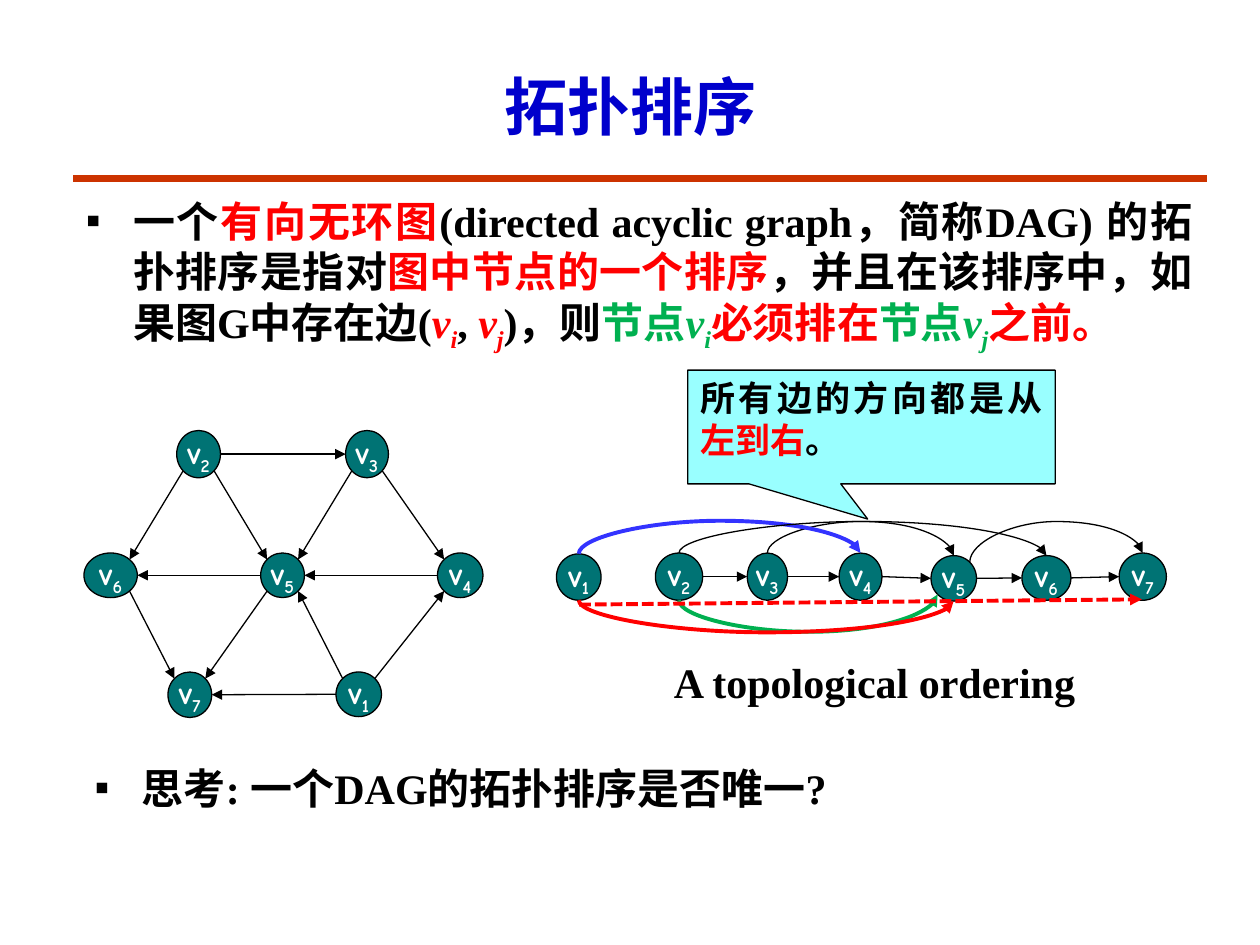
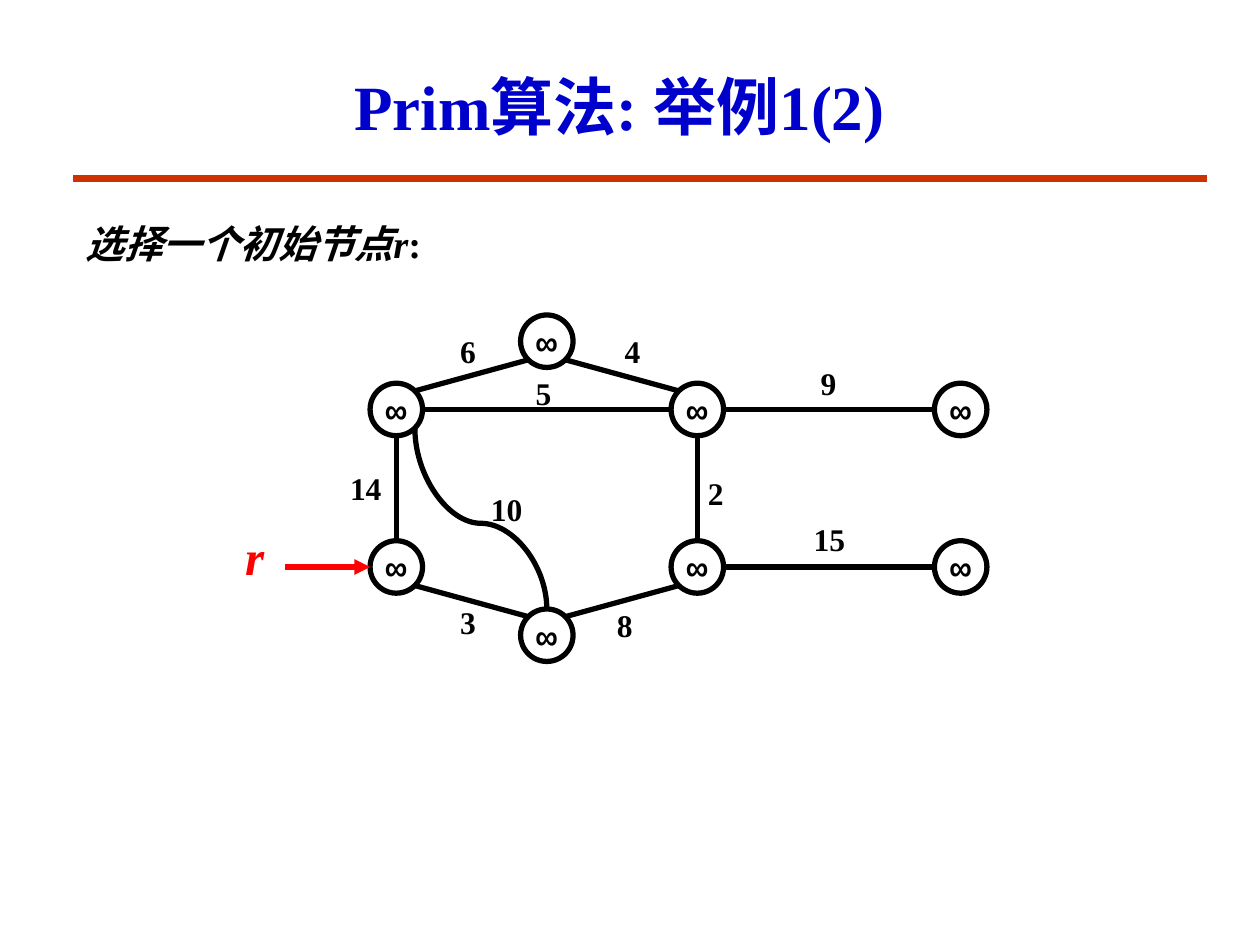
from dataclasses import dataclass
from math import sqrt

from lxml import etree
from pptx import Presentation
from pptx.dml.color import RGBColor
from pptx.enum.dml import MSO_LINE
from pptx.enum.shapes import MSO_CONNECTOR, MSO_SHAPE
from pptx.enum.text import MSO_ANCHOR, PP_ALIGN
from pptx.oxml.ns import qn
from pptx.util import Pt

STRAIGHT, CURVE = MSO_CONNECTOR.STRAIGHT, MSO_CONNECTOR.CURVE
ELLIPSE, CALLOUT = MSO_SHAPE.OVAL, MSO_SHAPE.RECTANGULAR_CALLOUT
SHORT_DASH = MSO_LINE.SQUARE_DOT
LEFT, CENTER, JUSTIFY = PP_ALIGN.LEFT, PP_ALIGN.CENTER, PP_ALIGN.JUSTIFY
TOP, MIDDLE = MSO_ANCHOR.TOP, MSO_ANCHOR.MIDDLE
TITLE_ONLY = 5


@dataclass(frozen=True)
class Theme:
    serif: str = "Times New Roman"
    casual: str = "Comic Neue"
    mono: str = "Courier New"
    title: str = "0000CC"
    rule: str = "CC3300"
    ink: str = "000000"
    white: str = "FFFFFF"
    red: str = "FF0000"
    green: str = "00B050"
    blue: str = "3333FF"
    node: str = "007374"
    callout: str = "99FFFF"
    title_size: float = 36
    root_size: float = 28
    body_size: float = 24
    lead_size: float = 22
    note_size: float = 20
    label_size: float = 18
    thin: float = 0.75
    medium: float = 2.25
    thick: float = 3
    rule_width: float = 4.5


THEME = Theme()

# Points on an ellipse, as shares of its half width and half height
DIAGONAL = 1 / sqrt(2)
SITES = {
    "N": (0, -1), "S": (0, 1), "W": (-1, 0), "E": (1, 0),
    "NW": (-DIAGONAL, -DIAGONAL), "NE": (DIAGONAL, -DIAGONAL),
    "SW": (-DIAGONAL, DIAGONAL), "SE": (DIAGONAL, DIAGONAL),
}


def rgb(color):
    return RGBColor.from_string(color)


# Text
def add_span(para, text, size, color=THEME.ink, italic=False, sub=False,
             face=THEME.serif):
    span = para.add_run()
    span.text = text
    font = span.font
    font.name, font.size, font.bold, font.italic = face, Pt(size), True, italic
    font.color.rgb = rgb(color)
    if sub:
        font._element.set("baseline", "-25000")


def add_bullet(para):
    properties = para._p.get_or_add_pPr()
    properties.set("marL", str(Pt(27)))
    properties.set("indent", str(Pt(-27)))
    etree.SubElement(properties, qn("a:buFont")).set("typeface", THEME.serif)
    etree.SubElement(properties, qn("a:buChar")).set("char", "▪")


def fill_frame(frame, spans, size, align=LEFT, anchor=TOP, wrap=True, bullet=False):
    """Each span is a text followed by the options of add_span."""
    frame.word_wrap = wrap
    frame.vertical_anchor = anchor
    para = frame.paragraphs[0]
    para.alignment = align
    if bullet:
        add_bullet(para)
    for text, options in spans:
        add_span(para, text, size, **options)


def add_text(page, area, spans, size, **layout):
    box = page.shapes.add_textbox(*map(Pt, area))
    fill_frame(box.text_frame, spans, size, **layout)


# Shapes
def add_outlined(page, preset, area, fill, width):
    shape = page.shapes.add_shape(preset, *map(Pt, area))
    shape.shadow.inherit = False
    if fill:
        shape.fill.solid()
        shape.fill.fore_color.rgb = rgb(fill)
    else:
        shape.fill.background()
    shape.line.color.rgb = rgb(THEME.ink)
    shape.line.width = Pt(width)
    return shape


def add_vertex(page, area, number):
    vertex = add_outlined(page, ELLIPSE, area, THEME.node, THEME.thin)
    look = {"color": THEME.white, "face": THEME.casual}
    spans = [("v", look), (number, {**look, "sub": True})]
    fill_frame(vertex.text_frame, spans, THEME.label_size, CENTER, MIDDLE, wrap=False)


def add_key_node(page, area):
    node = add_outlined(page, ELLIPSE, area, None, THEME.thick)
    fill_frame(node.text_frame, [("∞", {"face": THEME.mono})], THEME.note_size,
               CENTER, MIDDLE, wrap=False)


# Lines
def site(area, name):
    left, top, width, height = area
    across, down = SITES[name]
    return left + width / 2 * (1 + across), top + height / 2 * (1 + down)


def style_line(connector, color, width, arrow):
    connector.line.color.rgb = rgb(color)
    connector.line.width = Pt(width)
    if arrow:
        outline = connector.line._get_or_add_ln()
        etree.SubElement(outline, qn("a:tailEnd")).set("type", "triangle")
    etree.SubElement(connector._element.spPr, qn("a:effectLst"))


def add_line(page, start, end, color=THEME.ink, width=THEME.thin, arrow=True, dash=None):
    connector = page.shapes.add_connector(STRAIGHT, *map(Pt, (*start, *end)))
    if dash:
        connector.line.dash_style = dash
    style_line(connector, color, width, arrow)


def add_curve(page, start, end, turn, color=THEME.ink, width=THEME.thin, arrow=True):
    """Curve that leaves and arrives vertically and turns at the height turn."""
    (x1, y1), (x2, y2) = start, end
    rise, run = abs(y2 - y1), abs(x2 - x1)
    connector = page.shapes.add_connector(CURVE, 0, 0, 0, 0)
    connector.left = Pt((x1 + x2 - rise) / 2)
    connector.top = Pt((y1 + y2 - run) / 2)
    connector.width, connector.height = Pt(rise), Pt(run)
    rising = y2 < y1
    properties = connector._element.spPr
    frame = properties.find(qn("a:xfrm"))
    frame.set("rot", str((90 if rising else 270) * 60000))
    frame.set("flipH", "1")
    frame.set("flipV", "1" if (x2 > x1) == rising else "0")
    geometry = properties.find(qn("a:prstGeom"))
    guides = geometry.find(qn("a:avLst"))
    if guides is None:
        guides = etree.SubElement(geometry, qn("a:avLst"))
    guide = etree.SubElement(guides, qn("a:gd"))
    guide.set("name", "adj1")
    guide.set("fmla", f"val {round((turn - y1) / (y2 - y1) * 100000)}")
    style_line(connector, color, width, arrow)


def add_edges(page, nodes, edges, **look):
    """Each edge reads: from node, its site, to node, its site."""
    for source, leave, target, arrive in edges:
        add_line(page, site(nodes[source], leave), site(nodes[target], arrive), **look)


# Slide frame
def add_page(deck, title, title_area):
    page = deck.slides.add_slide(deck.slide_layouts[TITLE_ONLY])
    add_line(page, (42, 102), (690, 102), THEME.rule, THEME.rule_width, arrow=False)
    box = page.shapes.title
    box.left, box.top, box.width, box.height = map(Pt, title_area)
    fill_frame(box.text_frame, [(title, {"color": THEME.title})], THEME.title_size,
               CENTER, MIDDLE)
    return page


def build_topological_sort(deck):
    page = add_page(deck, "拓扑排序", (54, 24, 612, 72))
    size = THEME.body_size
    red, green = {"color": THEME.red}, {"color": THEME.green}

    # Definition
    def variable(index, color):
        return [("v", {**color, "italic": True}),
                (index, {**color, "italic": True, "sub": True})]

    definition = [
        ("一个", {}), ("有向无环图", red),
        ("(directed acyclic graph，简称DAG) 的拓扑排序是指对", {}),
        ("图中节点的一个排序", red), ("，并且在该排序中，如果图G中存在边(", {}),
        *variable("i", red), (", ", {}), *variable("j", red), (")，则", {}),
        ("节点", green), *variable("i", green), ("必须排在", red),
        ("节点", green), *variable("j", green), ("之前。", red),
    ]
    add_text(page, (42, 108, 646.5, 120), definition, size, align=JUSTIFY, bullet=True)
    add_text(page, (378, 371.5, 246, 37), [("A topological ordering", {})], size)

    # Directed graph
    graph = {
        "2": (101, 246, 25, 27), "3": (197.5, 246, 24.5, 27),
        "6": (48, 316, 30.5, 25.5), "5": (149, 316, 25, 25.5),
        "4": (250, 316, 26, 25.5),
        "7": (96, 384, 25, 26), "1": (192, 384, 26, 25.5),
    }
    # The same vertices in topological order
    ordering = {
        "1": (318, 316.5, 25.5, 26.5), "2": (374.5, 316, 27, 27),
        "3": (427, 316, 23, 27), "4": (479.5, 316, 24.5, 27),
        "5": (532, 317.5, 26, 26), "6": (584, 317.5, 28, 25.5),
        "7": (639.5, 316, 27, 27),
    }
    for nodes in (graph, ordering):
        for number, area in nodes.items():
            add_vertex(page, area, number)

    add_edges(page, graph, [
        ("2", "SW", "6", "NE"), ("2", "SE", "5", "NW"), ("2", "E", "3", "W"),
        ("3", "SE", "4", "NW"), ("3", "SW", "5", "NE"), ("4", "W", "5", "E"),
        ("1", "NE", "4", "SW"), ("1", "NW", "5", "SE"), ("1", "W", "7", "E"),
        ("5", "SW", "7", "NE"), ("5", "W", "6", "E"), ("6", "SE", "7", "NW"),
    ])
    # Neighbours are joined from the second vertex on
    chain = list(ordering)[1:]
    add_edges(page, ordering, [(a, "E", b, "W") for a, b in zip(chain, chain[1:])])

    # Arcs above and below the ordering
    above, below = 298, 361
    for source, leave, target, arrive, turn, color, width in [
        ("3", "N", "5", "N", above, THEME.ink, THEME.thin),
        ("2", "S", "5", "SW", below, THEME.green, THEME.medium),
        ("1", "S", "5", "S", below, THEME.red, THEME.medium),
        ("1", "N", "4", "N", above, THEME.blue, THEME.medium),
        ("5", "NE", "7", "N", above, THEME.ink, THEME.thin),
        ("2", "N", "6", "N", above, THEME.ink, THEME.thin),
    ]:
        add_curve(page, site(ordering[source], leave), site(ordering[target], arrive),
                  turn, color, width)

    # Remark and question
    remark = add_outlined(page, CALLOUT, (393, 211.5, 210, 65), THEME.callout, THEME.thin)
    remark.adjustments[0], remark.adjustments[1] = -0.01, 0.81
    fill_frame(remark.text_frame,
               [("所有边的方向都是从", {}), ("左到右", red), ("。", {})],
               THEME.note_size, JUSTIFY)
    add_text(page, (47, 432, 438.5, 36), [("思考: 一个DAG的拓扑排序是否唯一?", {})],
             size, bullet=True)
    add_line(page, (331, 345.5), (652.5, 342.5), THEME.red, THEME.medium,
             dash=SHORT_DASH)


def build_prim_example(deck):
    page = add_page(deck, "Prim算法: 举例1(2)", (48, 30, 612, 60))
    add_text(page, (42, 122, 209.5, 34),
             [("选择一个初始节点r", {"italic": True}), (":", {})], THEME.lead_size)

    # Nodes, by centre
    diameter = 30
    centers = {
        "upper left": (226.5, 234), "upper middle": (398.5, 234),
        "upper right": (549, 234),
        "lower left": (226.5, 324), "lower middle": (398.5, 324),
        "lower right": (549, 324),
        "bottom": (312.5, 363), "top": (312.5, 195),
    }
    nodes = {name: (x - diameter / 2, y - diameter / 2, diameter, diameter)
             for name, (x, y) in centers.items()}
    for area in nodes.values():
        add_key_node(page, area)

    # Edges
    add_edges(page, nodes, [
        ("top", "SE", "upper middle", "NW"), ("top", "SW", "upper left", "NE"),
        ("upper left", "E", "upper middle", "W"), ("lower left", "N", "upper left", "S"),
        ("lower left", "SE", "bottom", "NW"), ("bottom", "NE", "lower middle", "SW"),
        ("lower middle", "N", "upper middle", "S"),
        ("upper middle", "E", "upper right", "W"),
        ("lower middle", "E", "lower right", "W"),
    ], width=THEME.thick, arrow=False)
    add_curve(page, site(nodes["bottom"], "N"), site(nodes["upper left"], "SE"), 299,
              width=THEME.thick, arrow=False)

    # Weights, by centre
    label_width, label_height = 40, 29
    for weight, x, y in [
        ("14", 209, 279), ("10", 289.5, 291), ("3", 267.5, 355.5), ("6", 267.5, 200.5),
        ("4", 361.5, 200.5), ("5", 310.5, 224.5), ("2", 409, 282), ("9", 473.5, 219),
        ("15", 474, 308), ("8", 357, 357),
    ]:
        area = (x - label_width / 2, y - label_height / 2, label_width, label_height)
        add_text(page, area, [(weight, {})], THEME.label_size, align=CENTER, wrap=False)

    # Start node
    add_text(page, (133, 297.5, 44, 41), [("r", {"color": THEME.red, "italic": True})],
             THEME.root_size)
    add_line(page, (163, 324), site(nodes["lower left"], "W"), THEME.red, THEME.thick)


def main():
    deck = Presentation()
    deck.slide_width, deck.slide_height = Pt(720), Pt(540)
    build_topological_sort(deck)
    build_prim_example(deck)
    deck.save("out.pptx")


if __name__ == "__main__":
    main()
